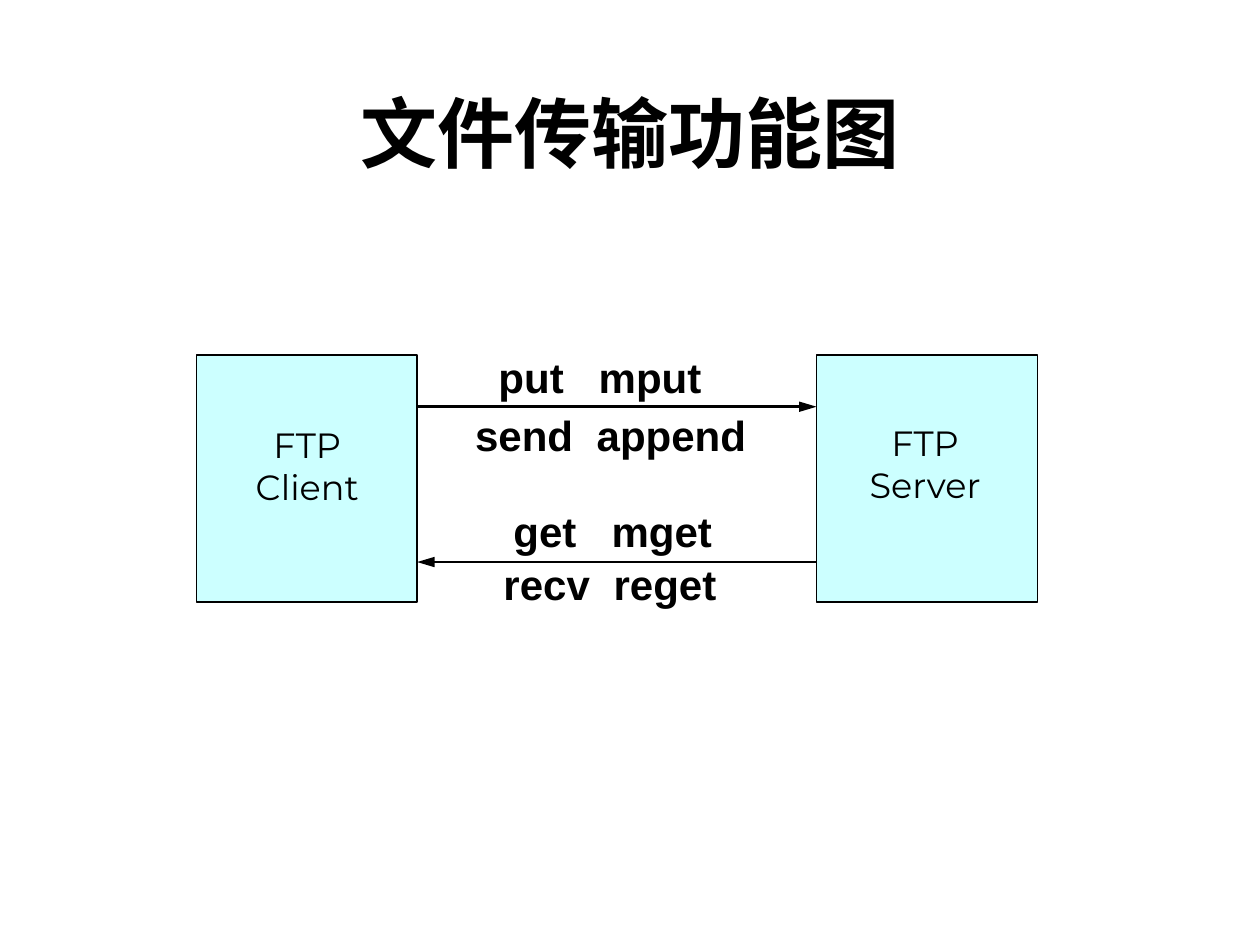
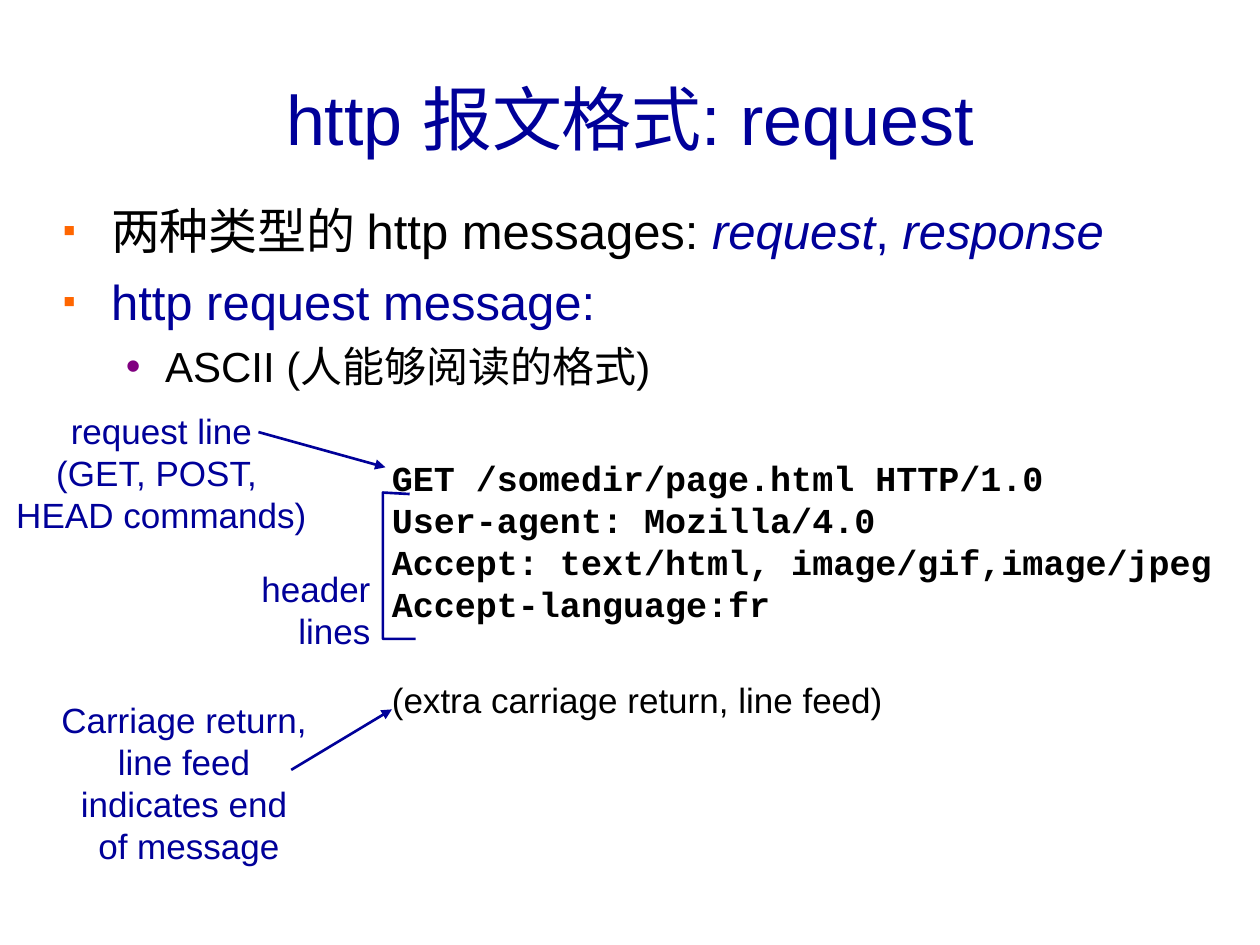
"""Build two slides: FTP file transfer functions and the HTTP request format."""
from lxml.etree import SubElement
from pptx import Presentation
from pptx.dml.color import RGBColor
from pptx.enum.shapes import MSO_CONNECTOR, MSO_SHAPE
from pptx.enum.text import MSO_ANCHOR, MSO_AUTO_SIZE, PP_ALIGN
from pptx.oxml.ns import qn
from pptx.util import Cm, Pt

COLORS = {
    "ink": "000000",
    "navy": "000099",
    "panel": "CCFFFF",
    "square": "FF6600",
    "dot": "800080",
}
STYLES = {
    "bold_title": {"name": "Arial", "size": Pt(44), "bold": True, "color": "ink"},
    "plain_title": {"name": "Arial", "size": Pt(40), "bold": False, "color": "navy"},
    "host": {"name": "Montserrat", "size": Pt(20), "color": "ink"},
    "command": {"name": "Arial", "size": Pt(24), "bold": True, "color": "ink"},
    "point": {"name": "Arial", "size": Pt(28), "color": "ink"},
    "subpoint": {"name": "Arial", "size": Pt(24), "color": "ink"},
    "code": {"name": "Courier New", "size": Pt(20), "bold": True, "color": "ink"},
    "remark": {"name": "Arial", "size": Pt(20), "color": "ink"},
    "callout": {"name": "Arial", "size": Pt(20), "color": "navy"},
}
BULLETS = {
    "point": {"char": "▪", "color": "square", "percent": 75,
              "left": 0.97, "hang": 0.97, "before": 7},
    "subpoint": {"char": "•", "color": "dot", "percent": 100,
                 "left": 2.06, "hang": 0.79, "before": 6},
}
TITLE_ONLY = 5


def rgb(color):
    """Return the palette colour of that name."""
    return RGBColor.from_string(COLORS[color])


def apply_style(font, style, **changes):
    """Set the font attributes of a style, with changes on top."""
    for attribute, value in {**STYLES[style], **changes}.items():
        if attribute == "color":
            font.color.rgb = rgb(value)
        else:
            setattr(font, attribute, value)


def add_run(paragraph, words, style, **changes):
    """Append styled words to a paragraph."""
    run = paragraph.add_run()
    run.text = words
    apply_style(run.font, style, **changes)


def add_title(slide, words, style, area):
    """Place and format the title placeholder."""
    title = slide.shapes.title
    title.left, title.top, title.width, title.height = map(Cm, area)
    frame = title.text_frame
    frame.auto_size = MSO_AUTO_SIZE.NONE
    frame.vertical_anchor = MSO_ANCHOR.MIDDLE
    paragraph = frame.paragraphs[0]
    paragraph.alignment = PP_ALIGN.CENTER
    add_run(paragraph, words, style)


def add_frame(slide, area, anchor=MSO_ANCHOR.TOP, side_margin=0.25):
    """Add a text box and return its text frame."""
    frame = slide.shapes.add_textbox(*map(Cm, area)).text_frame
    frame.word_wrap = True
    frame.vertical_anchor = anchor
    frame.margin_left = frame.margin_right = Cm(side_margin)
    return frame


def next_paragraph(frame):
    """Return the unused first paragraph or a new one."""
    first = frame.paragraphs[0]
    return frame.add_paragraph() if first.runs else first


def add_lines(frame, lines, style, align=PP_ALIGN.LEFT):
    """Write each line as a paragraph."""
    for line in lines:
        paragraph = next_paragraph(frame)
        paragraph.alignment = align
        add_run(paragraph, line, style)


def add_host(slide, name, panel_left, name_area):
    """Draw a host panel with its name."""
    panel = slide.shapes.add_shape(
        MSO_SHAPE.RECTANGLE, Cm(panel_left), Cm(7.16), Cm(4.45), Cm(4.98))
    panel.shadow.inherit = False
    panel.fill.solid()
    panel.fill.fore_color.rgb = rgb("panel")
    panel.line.color.rgb = rgb("ink")
    panel.line.width = Pt(0.75)
    frame = add_frame(slide, name_area, MSO_ANCHOR.MIDDLE)
    add_lines(frame, [name], "host", PP_ALIGN.CENTER)


def add_arrow(slide, start, end, color, head_length="med"):
    """Draw an arrow from start to end."""
    arrow = slide.shapes.add_connector(
        MSO_CONNECTOR.STRAIGHT, *map(Cm, (*start, *end)))
    arrow.line.color.rgb = rgb(color)
    arrow.line.width = Pt(1.5)
    properties = arrow._element.spPr
    SubElement(properties.find(qn("a:ln")), qn("a:tailEnd"),
               type="triangle", len=head_length)
    SubElement(properties, qn("a:effectLst"))


def add_command_pair(slide, commands, left, top, gap):
    """Write two commands, the second at a tab stop."""
    frame = add_frame(slide, (left, top, 6, 1.27), MSO_ANCHOR.MIDDLE)
    paragraph = frame.paragraphs[0]
    tabs = SubElement(paragraph._p.get_or_add_pPr(), qn("a:tabLst"))
    SubElement(tabs, qn("a:tab"), pos=str(Cm(gap)), algn="l")
    add_run(paragraph, "\t".join(commands), "command")


def add_point(frame, level, pieces):
    """Write a bulleted paragraph from (words, font changes) pieces."""
    bullet = BULLETS[level]
    paragraph = next_paragraph(frame)
    if len(frame.paragraphs) > 1:
        paragraph.space_before = Pt(bullet["before"])
    properties = paragraph._p.get_or_add_pPr()
    properties.set("marL", str(Cm(bullet["left"])))
    properties.set("indent", str(-Cm(bullet["hang"])))
    bullet_color = SubElement(properties, qn("a:buClr"))
    SubElement(bullet_color, qn("a:srgbClr"), val=COLORS[bullet["color"]])
    SubElement(properties, qn("a:buSzPct"), val=str(bullet["percent"] * 1000))
    SubElement(properties, qn("a:buFont"), typeface="Arial")
    SubElement(properties, qn("a:buChar"), char=bullet["char"])
    for words, changes in pieces:
        add_run(paragraph, words, level, **changes)


def add_bracket(slide, points):
    """Draw an open outline through the points."""
    first, *others = [tuple(map(Cm, point)) for point in points]
    builder = slide.shapes.build_freeform(*first)
    builder.add_line_segments(others, close=False)
    bracket = builder.convert_to_shape()
    bracket.shadow.inherit = False
    bracket.fill.background()
    bracket.line.color.rgb = rgb("navy")
    bracket.line.width = Pt(1.5)


def build_ftp_slide(slide):
    """Show the commands between FTP client and server."""
    add_title(slide, "文件传输功能图", "bold_title", (0.84, 1.07, 23.72, 3.18))
    add_host(slide, "FTP Client", 3.96, (4.39, 8.41, 3.61, 1.96))
    add_host(slide, "FTP Server", 16.46, (17.09, 8.36, 3.12, 1.96))
    add_arrow(slide, (8.41, 8.2), (16.46, 8.2), "ink", "lg")
    add_arrow(slide, (16.46, 11.33), (8.41, 11.33), "ink", "lg")
    for commands, left, top, gap in (
        (("put", "mput"), 9.8, 6.96, 2.02),
        (("send", "append"), 9.33, 8.13, 2.45),
        (("get", "mget"), 10.1, 10.06, 1.98),
        (("recv", "reget"), 9.9, 11.13, 2.22),
    ):
        add_command_pair(slide, commands, left, top, gap)


def build_http_slide(slide):
    """Explain the parts of an HTTP request message."""
    add_title(slide, "http 报文格式: request", "plain_title", (2.11, 1.21, 21.18, 2.31))

    navy = {"color": "navy"}
    term = {"color": "navy", "italic": True}
    points = add_frame(slide, (1.02, 3.91, 23.06, 4.19))
    add_point(points, "point", [
        ("两种类型的 http messages: ", {}), ("request", term), (", ", navy), ("response", term)])
    add_point(points, "point", [("http request message:", navy)])
    add_point(points, "subpoint", [("ASCII (人能够阅读的格式)", {})])

    message = add_frame(slide, (7.9, 9.07, 17.4, 5.69), side_margin=0)
    add_lines(message, [
        "GET /somedir/page.html HTTP/1.0",
        "User-agent: Mozilla/4.0",
        "Accept: text/html, image/gif,image/jpeg",
        "Accept-language:fr",
    ], "code")
    add_lines(message, ["(extra carriage return, line feed)"], "remark")
    message.paragraphs[-1].space_before = Pt(31)

    for lines, area, align in (
        (["request line", "(GET, POST, ", "HEAD commands)"],
         (0.08, 8.12, 6.35, 2.79), PP_ALIGN.CENTER),
        (["header", "lines"], (4.47, 11.32, 3, 1.96), PP_ALIGN.RIGHT),
        (["Carriage return, ", "line feed ", "indicates end ", "of message"],
         (0.99, 13.96, 5.64, 3.66), PP_ALIGN.CENTER),
    ):
        add_lines(add_frame(slide, area, side_margin=0), lines, "callout", align)
    add_arrow(slide, (5.21, 8.71), (7.77, 9.42), "navy")
    add_arrow(slide, (5.87, 15.52), (7.9, 14.3), "navy")
    add_bracket(slide, [(8.26, 9.96), (7.72, 9.93), (7.72, 12.88), (8.38, 12.88)])


def main():
    """Build and save the presentation."""
    deck = Presentation()
    deck.slide_width, deck.slide_height = Cm(25.4), Cm(19.05)
    for build in (build_ftp_slide, build_http_slide):
        build(deck.slides.add_slide(deck.slide_layouts[TITLE_ONLY]))
    deck.save("out.pptx")


if __name__ == "__main__":
    main()
